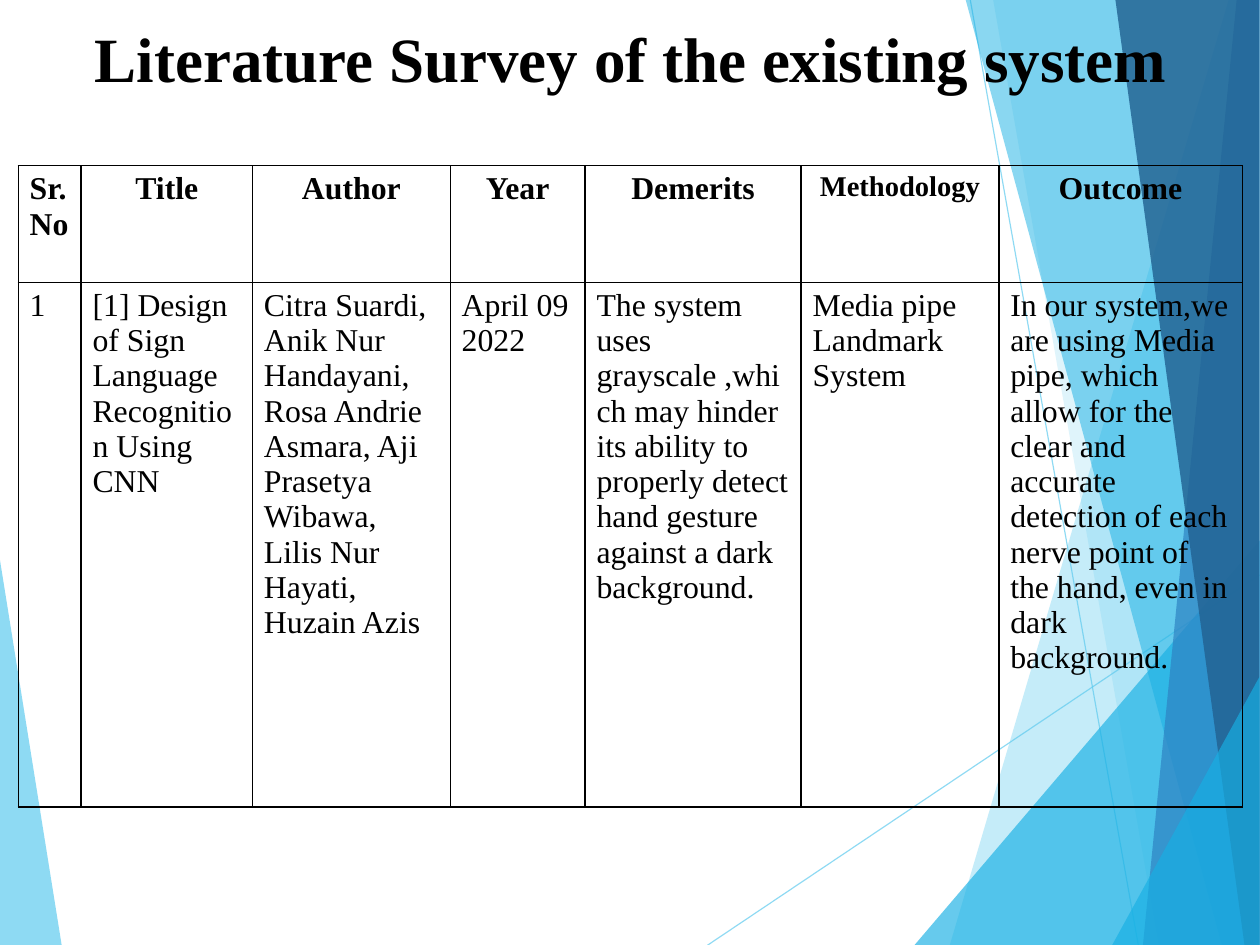
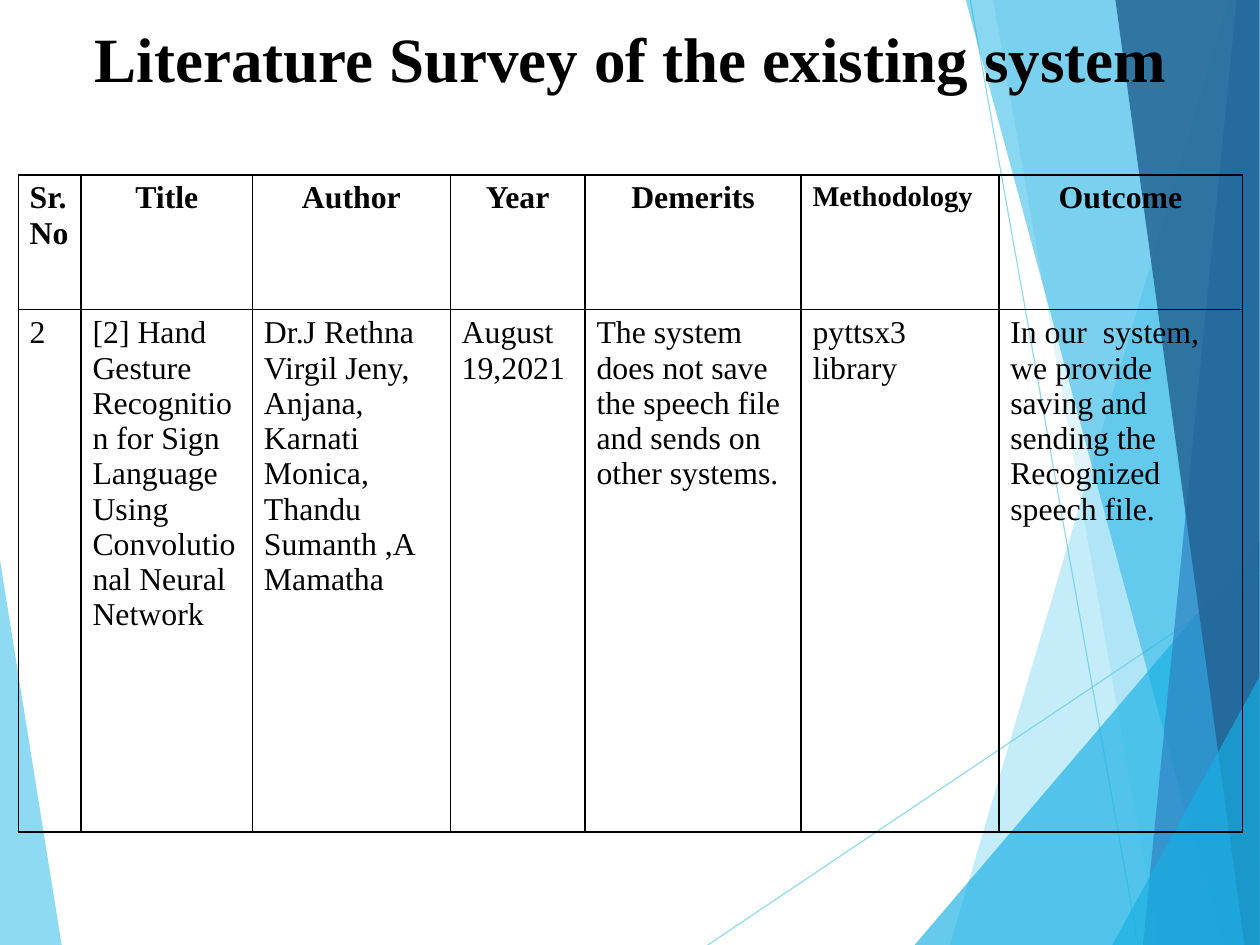
"""Build two literature survey slides on a shared faceted background."""
from lxml import etree
from pptx import Presentation
from pptx.dml.color import RGBColor
from pptx.enum import shapes, text
from pptx.oxml import ns
from pptx.util import Emu, Inches, Pt

FONT = "Times New Roman"
BLACK = RGBColor(0x00, 0x00, 0x00)
SKY = RGBColor(0x5F, 0xCB, 0xEF)
CYAN = RGBColor(0x17, 0xB0, 0xE4)
BLUE = RGBColor(0x2E, 0x83, 0xC3)
NAVY = RGBColor(0x22, 0x62, 0x92)

SLIDE_SIZE = Emu(10080625), Emu(7559675)
WIDTH, HEIGHT = 11.02, 8.27
LEFT = text.PP_ALIGN.LEFT
CENTER = text.PP_ALIGN.CENTER

LEFT_FACET = ([(0, 4.9), (0.54, HEIGHT), (0, HEIGHT)], SKY, 70)
RAYS = [((6.19, HEIGHT), (WIDTH, 5.03)), ((8.49, 0), (9.96, HEIGHT))]
RIGHT_FACETS = [
    ([(10.75, 0), (8.31, HEIGHT), (WIDTH, HEIGHT), (WIDTH, 0)], SKY, 36),
    ([(8.69, 0), (10.14, HEIGHT), (WIDTH, HEIGHT), (WIDTH, 0)], SKY, 20),
    ([(8, HEIGHT), (WIDTH, 4.73), (WIDTH, HEIGHT)], CYAN, 66),
    ([(8.45, 0), (10.69, HEIGHT), (WIDTH, HEIGHT), (WIDTH, 0)], CYAN, 50),
    ([(10.82, 0), (10, HEIGHT), (WIDTH, HEIGHT), (WIDTH, 0)], BLUE, 70),
    ([(9.76, 0), (10.89, HEIGHT), (WIDTH, HEIGHT), (WIDTH, 0)], NAVY, 82),
    ([(9.73, HEIGHT), (WIDTH, 5.92), (WIDTH, HEIGHT)], CYAN, 66),
]

TITLE = "Literature Survey of the existing system"
HEADINGS = ["Sr. No", "Title", "Author", "Year", "Demerits", "Methodology", "Outcome"]
COLUMN_WIDTHS = [0.55, 1.5, 1.73, 1.18, 1.89, 1.73, 2.13]
FIRST_PAPER = [
    "1",
    "[1] Design of Sign Language Recognition Using\nCNN",
    "Citra Suardi, Anik Nur Handayani, Rosa Andrie Asmara, Aji Prasetya\n"
    "Wibawa, Lilis Nur Hayati, Huzain Azis",
    "April 09 2022",
    "The system uses grayscale ,which may hinder its ability to properly detect "
    "hand gesture against a dark background.",
    "Media pipe\nLandmark\nSystem",
    "In our system,we are using Media pipe, which allow for the clear and accurate "
    "detection of each nerve point of the hand, even in dark background.",
]
SECOND_PAPER = [
    "2",
    "[2] Hand Gesture Recognition for Sign Language Using Convolutional Neural Network",
    "Dr.J Rethna Virgil Jeny, Anjana, Karnati Monica, Thandu Sumanth ,A Mamatha",
    "August 19,2021",
    "The system does not save the speech file and sends on other systems.",
    "pyttsx3\nlibrary",
    "In our  system, we provide saving and sending the Recognized speech file.",
]


def write_text(frame, content, size=20, bold=False, align=LEFT):
    """Fill a text frame, one paragraph per line of content."""
    frame.word_wrap = True
    frame.text = content
    for paragraph in frame.paragraphs:
        paragraph.alignment = align
        for run in paragraph.runs:
            run.font.name = FONT
            run.font.size = Pt(size)
            run.font.bold = bold
            run.font.color.rgb = BLACK


def set_opacity(shape, percent):
    """Make the explicit colour of a shape partly transparent."""
    for colour in shape._element.iter(ns.qn("a:srgbClr")):
        etree.SubElement(colour, ns.qn("a:alpha"), val=str(percent * 1000))


def add_facet(group, points, colour, opacity):
    """Add a translucent polygon to the backdrop."""
    corners = [(Inches(x), Inches(y)) for x, y in points]
    builder = group.shapes.build_freeform(*corners[0])
    builder.add_line_segments(corners[1:], close=True)
    facet = builder.convert_to_shape()
    facet.fill.solid()
    facet.fill.fore_color.rgb = colour
    facet.line.fill.background()
    facet.shadow.inherit = False
    set_opacity(facet, opacity)


def add_ray(group, start, end):
    """Add a thin translucent line to the backdrop."""
    ends = [Inches(value) for value in start + end]
    ray = group.shapes.add_connector(shapes.MSO_CONNECTOR.STRAIGHT, *ends)
    ray.line.color.rgb = SKY
    ray.line.width = Pt(0.75)
    set_opacity(ray, 70)
    etree.SubElement(ray._element.spPr, ns.qn("a:effectLst"))


def add_backdrop(slide):
    """Draw the facets once and hand them to the layout of the slide."""
    group = slide.shapes.add_group_shape()
    add_facet(group, *LEFT_FACET)
    for start, end in RAYS:
        add_ray(group, start, end)
    for facet in RIGHT_FACETS:
        add_facet(group, *facet)
    for number, properties in enumerate(group._element.iter(ns.qn("p:cNvPr")), 100):
        properties.set("id", str(number))
    slide.slide_layout.shapes.element.insert(2, group._element)


def add_title(slide, height):
    """Place and format the title placeholder."""
    title = slide.shapes.title
    title.left, title.top = Inches(0.73), Inches(0.12)
    title.width, title.height = Inches(9.64), Inches(height)
    frame = title.text_frame
    frame.auto_size = text.MSO_AUTO_SIZE.NONE
    frame.vertical_anchor = text.MSO_ANCHOR.TOP
    frame.margin_top = Inches(0.05)
    write_text(frame, TITLE, size=39.7, bold=True)


def format_cell(cell):
    """Clear the fill of a cell and rule its four sides."""
    cell.fill.background()
    properties = cell._tc.get_or_add_tcPr()
    for position, side in enumerate(("lnL", "lnR", "lnT", "lnB")):
        border = etree.Element(ns.qn(f"a:{side}"), w=str(Pt(1)))
        fill = etree.SubElement(border, ns.qn("a:solidFill"))
        etree.SubElement(fill, ns.qn("a:srgbClr"), val=str(BLACK))
        properties.insert(position, border)


def add_survey_table(slide, paper, top, row_heights, methodology_align):
    """Add the table with its headings and one surveyed paper."""
    frame = slide.shapes.add_table(
        2, len(HEADINGS), Inches(0.16), Inches(top),
        Inches(sum(COLUMN_WIDTHS)), Inches(sum(row_heights)))
    table = frame.table
    table.first_row = table.horz_banding = False
    for row, height in zip(table.rows, row_heights):
        row.height = Inches(height)
    for index, width in enumerate(COLUMN_WIDTHS):
        table.columns[index].width = Inches(width)
        heading, entry = table.cell(0, index), table.cell(1, index)
        format_cell(heading)
        format_cell(entry)
        label = HEADINGS[index]
        align = {"Sr. No": LEFT, "Methodology": methodology_align}.get(label, CENTER)
        size = 18 if label == "Methodology" else 20
        write_text(heading.text_frame, label, size=size, bold=True, align=align)
        write_text(entry.text_frame, paper[index])


def main():
    """Build and save the presentation."""
    prs = Presentation()
    prs.slide_width, prs.slide_height = SLIDE_SIZE
    title_only = prs.slide_layouts[5]
    first = prs.slides.add_slide(title_only)
    add_backdrop(first)
    add_title(first, 0.79)
    add_survey_table(first, FIRST_PAPER, 1.45, (1.02, 4.59), CENTER)
    second = prs.slides.add_slide(title_only)
    add_title(second, 1.72)
    add_survey_table(second, SECOND_PAPER, 1.53, (1.18, 4.57), LEFT)
    prs.save("out.pptx")


if __name__ == "__main__":
    main()
